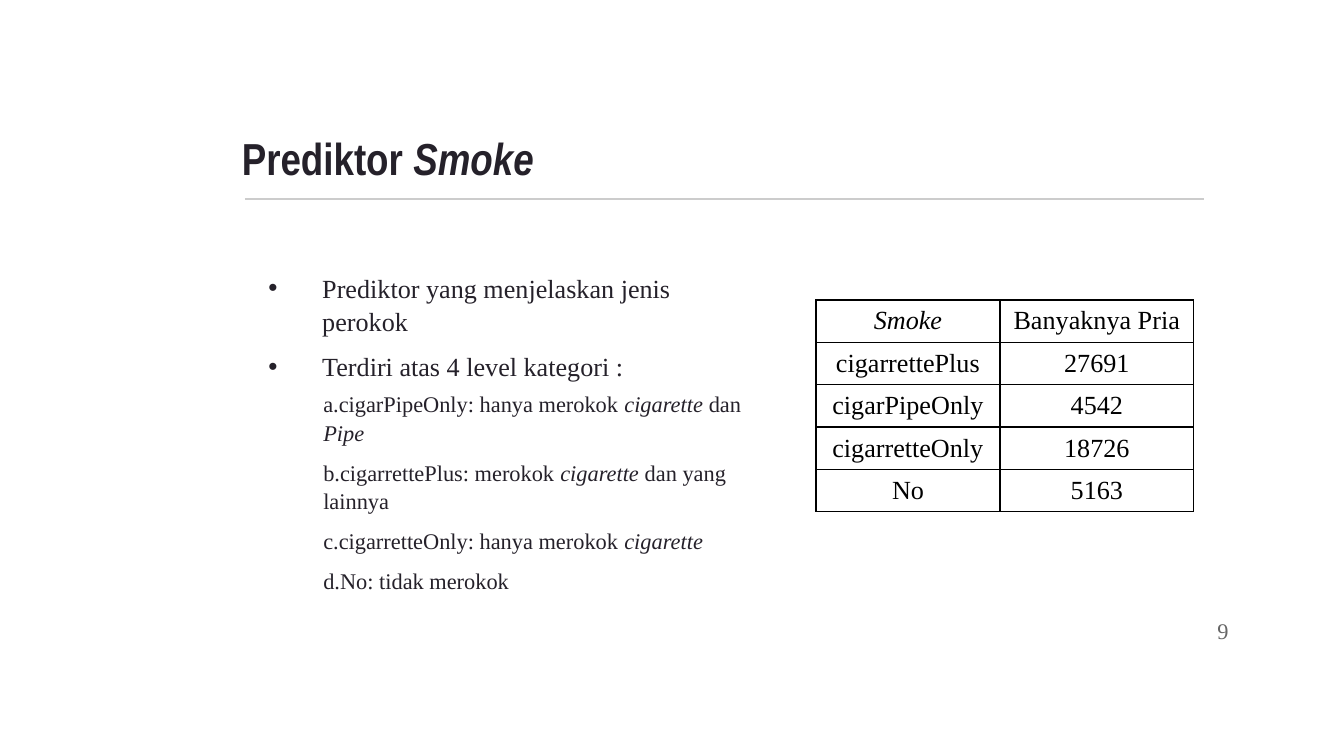
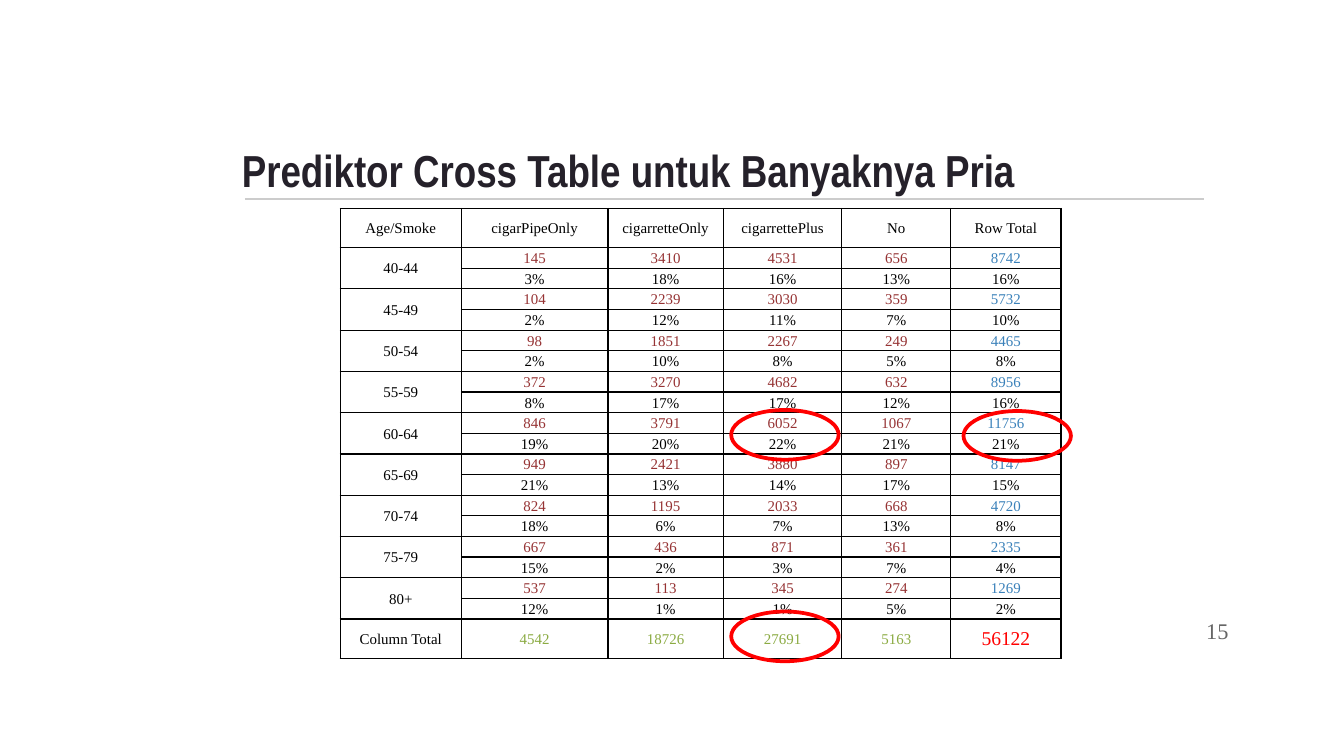
from lxml.etree import SubElement
from pptx import Presentation
from pptx.dml.color import RGBColor
from pptx.enum.shapes import MSO_CONNECTOR as Connector, MSO_SHAPE as Preset
from pptx.enum.text import MSO_ANCHOR as Anchor, MSO_AUTO_SIZE as AutoSize, PP_ALIGN as Align
from pptx.oxml import parse_xml
from pptx.oxml.ns import nsdecls, qn
from pptx.util import Cm, Pt

INK = RGBColor(0x25, 0x21, 0x2A)
BLACK = RGBColor(0, 0, 0)
RULE_GREY = RGBColor(0xCC, 0xCC, 0xCC)
NUMBER_GREY = RGBColor(0x66, 0x66, 0x66)
COUNT_RED = RGBColor(0x96, 0x33, 0x34)
ROW_BLUE = RGBColor(0x3A, 0x81, 0xBA)
COLUMN_GREEN = RGBColor(0x8B, 0xAB, 0x42)
MARK_RED = RGBColor(0xFF, 0, 0)

SERIF = "Times New Roman"
TITLE_FONT = {"name": "Arial Narrow", "size": Pt(24), "bold": True}
LEVEL_FONT = {"name": SERIF, "size": Pt(14)}
DETAIL_FONT = {"name": SERIF, "size": Pt(12)}
CROSS_FONT = {"name": SERIF, "size": Pt(8)}
GRAND_FONT = {"name": SERIF, "size": Pt(10.5)}
LIST_SPACING = {"space_before": Pt(6), "line_spacing": 1.07}
INSETS = dict.fromkeys(("margin_left", "margin_top", "margin_right", "margin_bottom"), Cm(0.25))
CROSS_CELL = {"margin_left": Cm(0.02), "margin_top": Cm(0.02), "margin_right": Cm(0.02),
              "margin_bottom": 0, "vertical_anchor": Anchor.MIDDLE}

SMOKE_LEVELS = ["cigarPipeOnly", "cigarretteOnly", "cigarrettePlus", "No"]
COUNTS_BY_AGE = {
    "40-44": [145, 3410, 4531, 656],
    "45-49": [104, 2239, 3030, 359],
    "50-54": [98, 1851, 2267, 249],
    "55-59": [372, 3270, 4682, 632],
    "60-64": [846, 3791, 6052, 1067],
    "65-69": [949, 2421, 3880, 897],
    "70-74": [824, 1195, 2033, 668],
    "75-79": [667, 436, 871, 361],
    "80+": [537, 113, 345, 274],
}


def set_values(target, values):
    """Set each named attribute of the target."""
    for name, value in values.items():
        setattr(target, name, value)


def write_paragraph(paragraph, text, font, color, layout):
    """Write text whose parts between asterisks are italic."""
    set_values(paragraph, layout)
    for index, part in enumerate(text.split("*")):
        if part or not text:
            run = paragraph.add_run()
            run.text = part
            set_values(run.font, {**font, "italic": index % 2 == 1})
            run.font.color.rgb = color


def place(shape, left, top, width, height, anchor):
    """Move a text shape and set up its frame."""
    box = {"left": left, "top": top, "width": width, "height": height}
    set_values(shape, {name: Cm(value) for name, value in box.items()})
    set_values(shape.text_frame, {**INSETS, "word_wrap": True, "auto_size": AutoSize.NONE,
                                  "vertical_anchor": anchor})
    return shape.text_frame


def set_indent(paragraph, left, hanging, bullet):
    """Indent a paragraph and show or hide its bullet."""
    properties = paragraph._p.get_or_add_pPr()
    properties.set("marL", str(Cm(left)))
    properties.set("indent", str(-Cm(hanging)))
    if bullet:
        color = SubElement(properties, qn("a:buClr"))
        SubElement(color, qn("a:srgbClr"), val=str(INK))
        SubElement(properties, qn("a:buChar"), char="•")
    else:
        SubElement(properties, qn("a:buNone"))


def fill_list(shape, left, top, items, font, indent):
    """Place a body placeholder and fill it with list items."""
    frame = place(shape, left, top, 8.79, 2.95, Anchor.TOP)
    for index, item in enumerate(items):
        paragraph = frame.add_paragraph() if index else frame.paragraphs[0]
        write_paragraph(paragraph, item, font, INK, LIST_SPACING)
        set_indent(paragraph, *indent)


def add_base_slide(presentation, layout_index, title, title_height, number):
    """Add a slide with its title, rule and page number."""
    slide = presentation.slides.add_slide(presentation.slide_layouts[layout_index])
    rule = slide.shapes.add_connector(Connector.STRAIGHT, Cm(4.63), Cm(3.76), Cm(22.75), Cm(3.76))
    rule.line.color.rgb = RULE_GREY
    rule.line.width = Pt(0.75)
    SubElement(rule._element.spPr, qn("a:effectLst"))
    frame = place(slide.shapes.title, 4.32, 2, 18.39, title_height, Anchor.BOTTOM)
    write_paragraph(frame.paragraphs[0], title, TITLE_FONT, INK, {"alignment": Align.LEFT})
    box = slide.shapes.add_textbox(0, 0, 0, 0)
    frame = place(box, 21.95, 11.38, 1.52, 1.09, Anchor.MIDDLE)
    write_paragraph(frame.paragraphs[0], str(number), DETAIL_FONT, NUMBER_GREY,
                    {"alignment": Align.RIGHT})
    return slide


def draw_borders(cell):
    """Draw a thin black line on all four sides of a cell."""
    properties = cell._tc.get_or_add_tcPr()
    for index, side in enumerate("LRTB"):
        properties.insert(index, parse_xml(
            f'<a:ln{side} {nsdecls("a")} w="{Pt(0.75)}"><a:solidFill>'
            f'<a:srgbClr val="{BLACK}"/></a:solidFill></a:ln{side}>'))


def add_grid(slide, left, top, widths, heights, rows, style, cell_format):
    """Add a bordered table; style gives the font and colour of a cell."""
    frame = slide.shapes.add_table(len(rows), len(widths), Cm(left), Cm(top),
                                   Cm(sum(widths)), Cm(sum(heights)))
    table = frame.table
    set_values(table, {"first_row": False, "horz_banding": False})
    for column, width in zip(table.columns, widths):
        column.width = Cm(width)
    for row_index, (row, height) in enumerate(zip(rows, heights)):
        table.rows[row_index].height = Cm(height)
        for column_index, text in enumerate(row):
            cell = table.cell(row_index, column_index)
            set_values(cell, cell_format)
            cell.fill.background()
            draw_borders(cell)
            font, color = style(row_index, column_index)
            write_paragraph(cell.text_frame.paragraphs[0], str(text), font, color,
                            {"alignment": Align.CENTER})
    return table


def cross_rows(totals):
    """Work out the counts, column percentages and totals of the cross table."""
    rows = [["Age/Smoke", *SMOKE_LEVELS, "Row Total"]]
    for age, counts in COUNTS_BY_AGE.items():
        values = [*counts, sum(counts)]
        rows.append([age, *values])
        rows.append(["", *(f"{value / total:.0%}" for value, total in zip(values, totals))])
    return rows + [["Column Total", *totals]]


def cross_style(row, column):
    """Pick the font and colour of a cross table cell."""
    last_row, last_column = 2 * len(COUNTS_BY_AGE) + 1, len(SMOKE_LEVELS) + 1
    if row == last_row and column == last_column:
        return GRAND_FONT, MARK_RED
    if column == 0 or row % 2 == 0 and row < last_row:
        return CROSS_FONT, BLACK
    if row == last_row:
        return CROSS_FONT, COLUMN_GREEN
    return CROSS_FONT, ROW_BLUE if column == last_column else COUNT_RED


def add_mark(slide, left, top):
    """Circle a value with a red ellipse."""
    mark = slide.shapes.add_shape(Preset.OVAL, Cm(left), Cm(top), Cm(2.03), Cm(0.94))
    mark.shadow.inherit = False
    mark.fill.background()
    mark.line.color.rgb = MARK_RED
    mark.line.width = Pt(2)


def build_smoke_slide(presentation, totals):
    """Build the slide on the smoke predictor."""
    slide = add_base_slide(presentation, 3, "Prediktor *Smoke*", 1.73, 9)
    fill_list(slide.placeholders[1], 4.57, 4.85, [
        "Prediktor yang menjelaskan jenis perokok",
        "Terdiri atas 4 level kategori :",
    ], LEVEL_FONT, (1.27, 1.02, True))
    fill_list(slide.placeholders[2], 5.61, 7.09, [
        "a.cigarPipeOnly: hanya merokok *cigarette *dan *Pipe*",
        "b.cigarrettePlus: merokok *cigarette *dan yang lainnya",
        "c.cigarretteOnly: hanya merokok *cigarette*",
        "d.No: tidak merokok",
    ], DETAIL_FONT, (0.25, 0, False))
    men = dict(zip(SMOKE_LEVELS, totals))
    order = ["cigarrettePlus", "cigarPipeOnly", "cigarretteOnly", "No"]
    rows = [["*Smoke*", "Banyaknya Pria"], *([level, men[level]] for level in order)]
    add_grid(slide, 15.42, 5.67, [3.48, 3.66], [0.61] * len(rows), rows,
             lambda row, column: (LEVEL_FONT, BLACK), {})


def build_cross_slide(presentation, totals):
    """Build the slide with the cross table of age and smoke."""
    slide = add_base_slide(presentation, 5, "Prediktor Cross Table untuk Banyaknya Pria", 1.96, 15)
    heights = [0.74, *[0.39] * (2 * len(COUNTS_BY_AGE)), 0.74]
    table = add_grid(slide, 6.43, 3.94, [2.29, 2.77, 2.18, 2.24, 2.06, 2.08], heights,
                     cross_rows(totals), cross_style, CROSS_CELL)
    for row in range(1, len(heights) - 1, 2):
        table.cell(row, 0).merge(table.cell(row + 1, 0))
    for left, top in [(18.21, 7.77), (13.82, 11.56), (13.82, 7.75)]:
        add_mark(slide, left, top)


def main():
    """Build and save the presentation."""
    presentation = Presentation()
    set_values(presentation, {"slide_width": Cm(25.4), "slide_height": Cm(14.29)})
    totals = [sum(column) for column in zip(*COUNTS_BY_AGE.values())]
    build_smoke_slide(presentation, totals)
    build_cross_slide(presentation, [*totals, sum(totals)])
    presentation.save("out.pptx")


if __name__ == "__main__":
    main()
